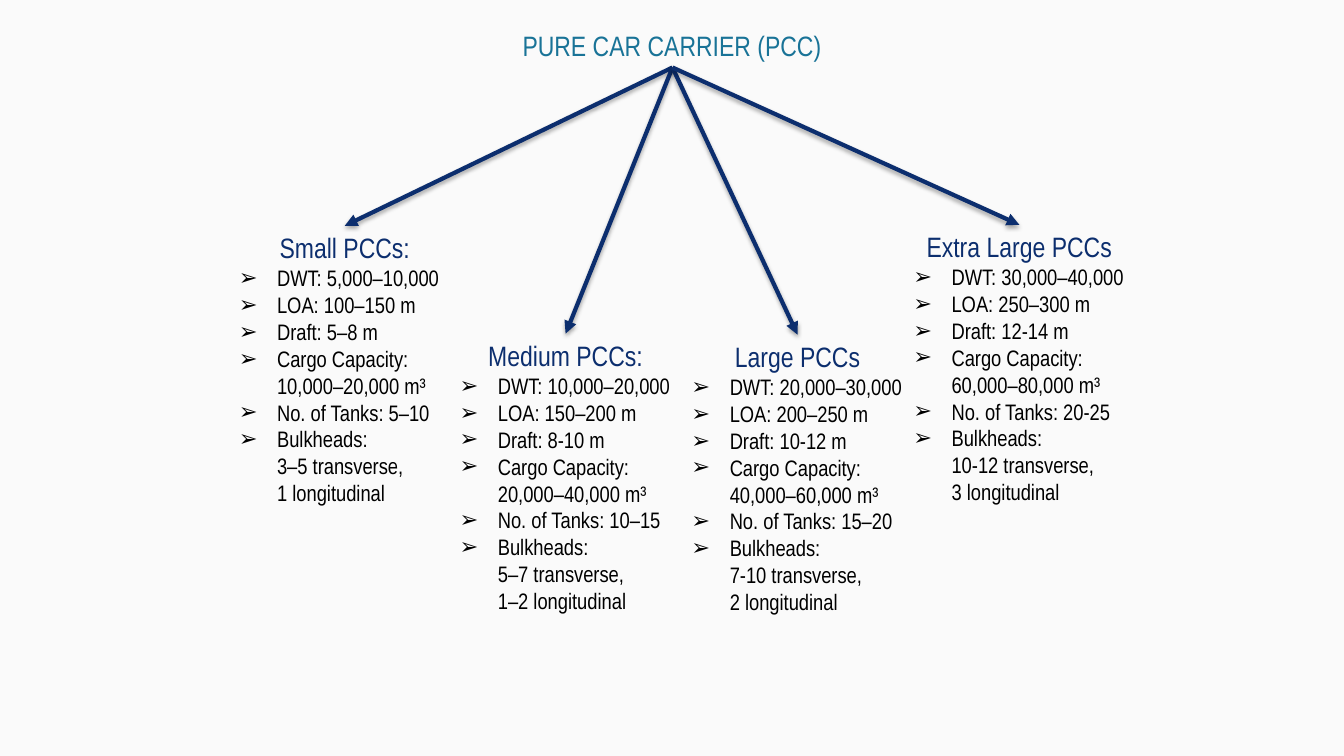
from lxml.etree import SubElement
from pptx import Presentation
from pptx.dml.color import RGBColor
from pptx.enum.shapes import MSO_CONNECTOR
from pptx.enum.text import PP_ALIGN
from pptx.oxml import parse_xml
from pptx.oxml.ns import nsdecls, qn
from pptx.util import Inches, Pt

# Content
TITLE = "PURE CAR CARRIER (PCC)"
LABELS = ("DWT: ", "LOA: ", "Draft: ", "Cargo Capacity: ", "No. of Tanks: ", "Bulkheads:\n")
# Heading, left, top, height, values in the order of LABELS
CLASSES = [
    ("Small PCCs:", 2.27, 2.24, 2.86,
     ("5,000–10,000", "100–150 m", "5–8 m", "10,000–20,000 m³", "5–10",
      "3–5 transverse,\n1 longitudinal")),
    ("Medium PCCs:", 4.46, 3.31, 2.86,
     ("10,000–20,000", "150–200 m", "8-10 m", "20,000–40,000 m³", "10–15",
      "5–7 transverse,\n1–2 longitudinal")),
    ("Large PCCs", 6.76, 3.32, 3.13,
     ("20,000–30,000", "200–250 m", "10-12 m", "40,000–60,000 m³", "15–20",
      "7-10 transverse,\n2 longitudinal")),
    ("Extra Large PCCs", 8.96, 2.23, 3.2,
     ("30,000–40,000", "250–300 m", "12-14 m", "60,000–80,000 m³", "20-25",
      "10-12 transverse,\n3 longitudinal")),
]

# Style
FONT = "Arial Narrow"
BACKGROUND = RGBColor(0xFA, 0xFA, 0xFA)
TEAL = RGBColor(0x19, 0x73, 0x97)
NAVY = RGBColor(0x0C, 0x2E, 0x6E)
BLACK = RGBColor(0, 0, 0)
TITLE_BOX = (4.82, 0.23, 3.69, 0.44)
ARROW_START = (6.67, 0.67)
CLASS_WIDTH = 2.3
INDENT = Inches(0.38)
SHADOW = (
    f'<a:effectLst {nsdecls("a")}>'
    '<a:outerShdw blurRad="40000" dist="23000" dir="5400000" rotWithShape="0">'
    '<a:srgbClr val="000000"><a:alpha val="35000"/></a:srgbClr>'
    '</a:outerShdw></a:effectLst>'
)


def add_text_frame(slide, left, top, width, height):
    box = slide.shapes.add_textbox(Inches(left), Inches(top), Inches(width), Inches(height))
    box.text_frame.word_wrap = True
    return box.text_frame


def write(paragraph, text, size, color):
    paragraph.text = text
    paragraph.font.name = FONT
    paragraph.font.size = Pt(size)
    paragraph.font.color.rgb = color


def write_heading(paragraph, text, color):
    paragraph.alignment = PP_ALIGN.CENTER
    write(paragraph, text, 20, color)


def add_bullet(paragraph):
    properties = paragraph._p.get_or_add_pPr()
    properties.set("marL", str(INDENT))
    properties.set("indent", str(-INDENT))
    bullet_color = SubElement(properties, qn("a:buClr"))
    SubElement(bullet_color, qn("a:srgbClr"), val=str(BLACK))
    SubElement(properties, qn("a:buFont"), typeface="Arial")
    SubElement(properties, qn("a:buChar"), char="➢")


def add_arrow(slide, end_x, end_y):
    start_x, start_y = ARROW_START
    arrow = slide.shapes.add_connector(
        MSO_CONNECTOR.STRAIGHT, Inches(start_x), Inches(start_y), Inches(end_x), Inches(end_y))
    arrow.line.color.rgb = NAVY
    arrow.line.width = Pt(3)
    properties = arrow._element.spPr
    SubElement(properties.find(qn("a:ln")), qn("a:tailEnd"), type="triangle")
    properties.append(parse_xml(SHADOW))


def main():
    presentation = Presentation()
    presentation.slide_width = Inches(13.33)
    presentation.slide_height = Inches(7.5)
    slide = presentation.slides.add_slide(presentation.slide_layouts[6])
    slide.background.fill.solid()
    slide.background.fill.fore_color.rgb = BACKGROUND

    # Title
    title_frame = add_text_frame(slide, *TITLE_BOX)
    write_heading(title_frame.paragraphs[0], TITLE, TEAL)

    # Size classes, each with an arrow to the middle of its top edge
    for heading, left, top, height, values in CLASSES:
        add_arrow(slide, left + CLASS_WIDTH / 2, top)
        frame = add_text_frame(slide, left, top, CLASS_WIDTH, height)
        write_heading(frame.paragraphs[0], heading, NAVY)
        for label, value in zip(LABELS, values):
            paragraph = frame.add_paragraph()
            add_bullet(paragraph)
            write(paragraph, label + value, 16, BLACK)

    presentation.save("out.pptx")


if __name__ == "__main__":
    main()
